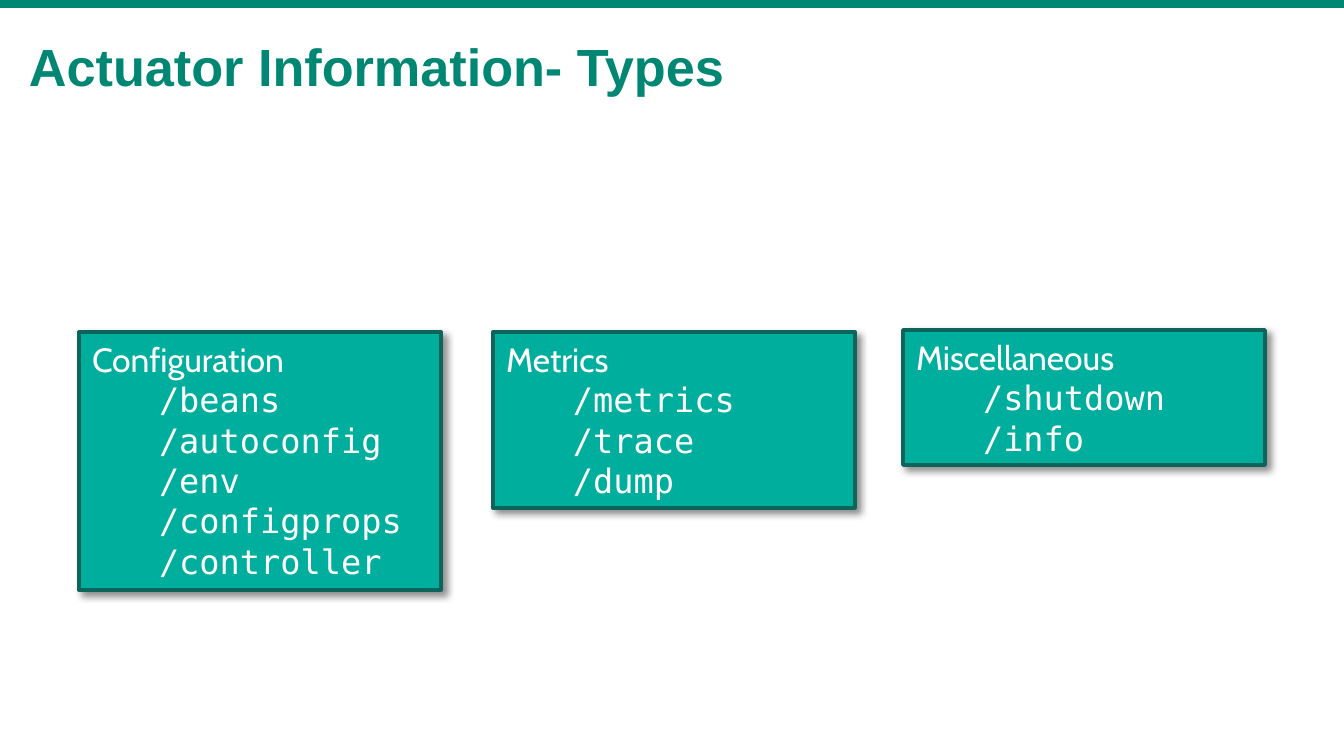
from lxml.etree import SubElement
from pptx import Presentation
from pptx.dml.color import RGBColor
from pptx.enum.shapes import MSO_SHAPE
from pptx.enum.text import MSO_ANCHOR, PP_ALIGN
from pptx.oxml.ns import qn
from pptx.util import Emu, Pt

TITLE = "Actuator Information- Types"
GROUPS = [
    ("Configuration", 79, 332, ["/beans", "/autoconfig", "/env", "/configprops", "/controller"]),
    ("Metrics", 493, 332, ["/metrics", "/trace", "/dump"]),
    ("Miscellaneous", 903, 330, ["/shutdown", "/info"]),
]
SLIDE_W, SLIDE_H = 1344, 756
CARD_W, LINE_H, CARD_PAD = 362, 41, 12
INDENT = 67
GREEN, TEAL, DARK_TEAL, WHITE = "008774", "00AE9E", "0D645B", "FFFFFF"


def px(length):
    return Emu(round(length * 914400 / 134.4))


def color(value):
    return RGBColor.from_string(value)


def add_rect(slide, left, top, width, height, fill):
    rect = slide.shapes.add_shape(MSO_SHAPE.RECTANGLE, px(left), px(top), px(width), px(height))
    rect.shadow.inherit = False
    rect.fill.solid()
    rect.fill.fore_color.rgb = color(fill)
    rect.line.fill.background()
    return rect


def add_shadow(card):
    effects = card._element.spPr.find(qn("a:effectLst"))
    shadow = SubElement(effects, qn("a:outerShdw"), blurRad=str(Pt(4)), dist=str(Pt(3)),
                        dir=str(45 * 60000), algn="tl", rotWithShape="0")
    black = SubElement(shadow, qn("a:srgbClr"), val="000000")
    SubElement(black, qn("a:alpha"), val="43000")


def write(paragraph, text, *, font, size, ink, bold=False, indent=0):
    if indent:
        paragraph.level = 1
        properties = paragraph._p.get_or_add_pPr()
        properties.set("marL", str(px(indent)))
        properties.set("indent", "0")
    paragraph.alignment = PP_ALIGN.LEFT
    run = paragraph.add_run()
    run.text = text
    run.font.name = font
    run.font.size = Pt(size)
    run.font.bold = bold
    run.font.color.rgb = color(ink)


def set_frame(frame, anchor, side, edge):
    frame.word_wrap = True
    frame.vertical_anchor = anchor
    frame.margin_left = frame.margin_right = px(side)
    frame.margin_top = frame.margin_bottom = px(edge)


def add_card(slide, heading, left, top, endpoints):
    height = CARD_PAD + LINE_H * (1 + len(endpoints))
    card = add_rect(slide, left, top, CARD_W, height, TEAL)
    card.line.color.rgb = color(DARK_TEAL)
    card.line.width = Pt(2)
    add_shadow(card)
    frame = card.text_frame
    set_frame(frame, MSO_ANCHOR.TOP, 13, 7)
    write(frame.paragraphs[0], heading, font="Cabin", size=18, ink=WHITE)
    for endpoint in endpoints:
        write(frame.add_paragraph(), endpoint, font="DejaVu Sans Mono", size=18,
              ink=WHITE, indent=INDENT)


def main():
    """Build the slide of actuator endpoint types."""
    deck = Presentation()
    deck.slide_width, deck.slide_height = px(SLIDE_W), px(SLIDE_H)
    slide = deck.slides.add_slide(deck.slide_layouts[6])
    add_rect(slide, 0, 0, SLIDE_W, 8, GREEN)
    title = slide.shapes.add_textbox(px(16), px(26), px(1328), px(79)).text_frame
    set_frame(title, MSO_ANCHOR.MIDDLE, 13, 13)
    write(title.paragraphs[0], TITLE, font="Arial", size=28, ink=GREEN, bold=True)
    for group in GROUPS:
        add_card(slide, *group)
    deck.save("out.pptx")


if __name__ == "__main__":
    main()
